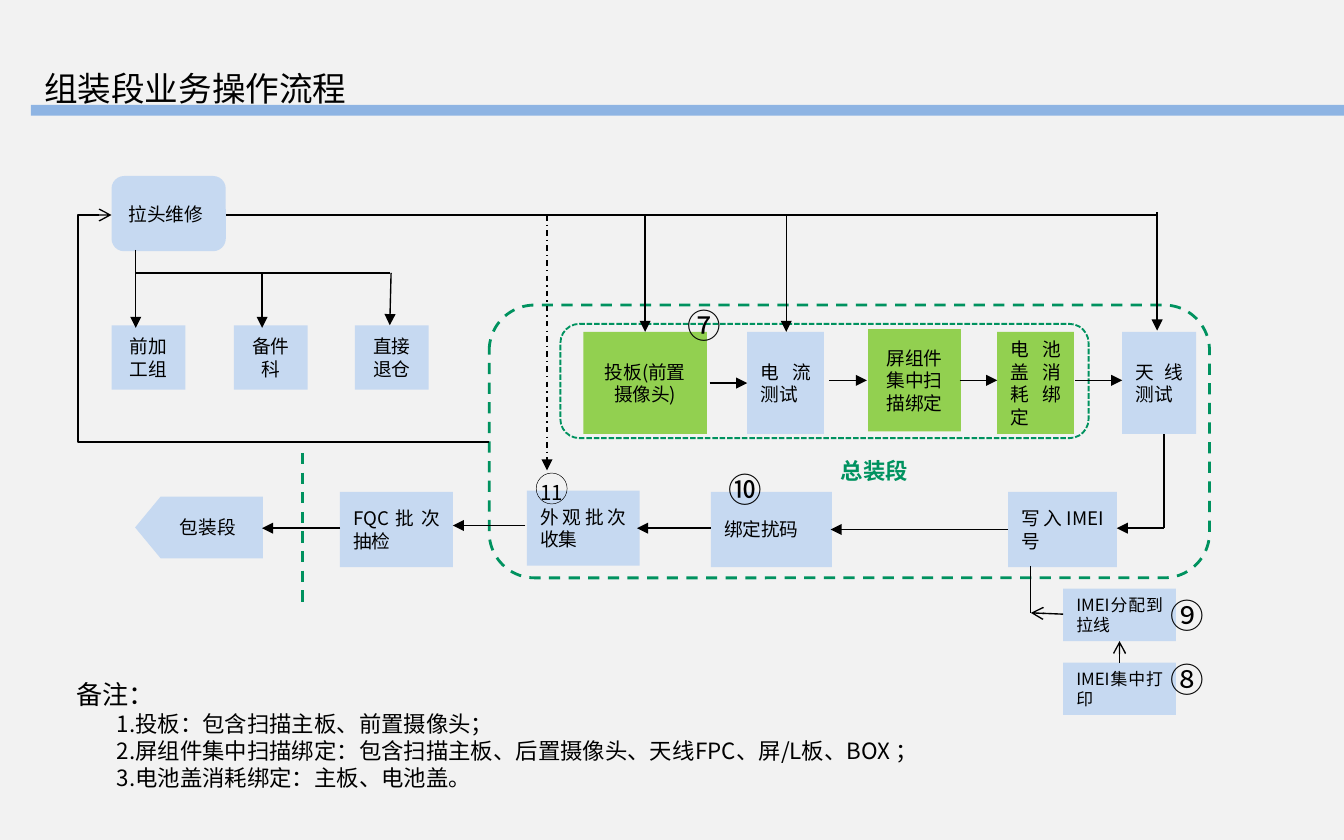
from pptx import Presentation
from pptx.dml.color import RGBColor
from pptx.enum.dml import MSO_LINE
from pptx.enum.shapes import MSO_CONNECTOR, MSO_SHAPE
from pptx.enum.text import MSO_ANCHOR, PP_ALIGN
from pptx.oxml.ns import qn
from pptx.util import Inches, Pt
from lxml.etree import SubElement

COLS, ROWS = 100, 62.5
CELL = Inches(10) / COLS
FONT = "Noto Sans CJK SC"
BLACK, BLUE, LIME, TEAL, BAR = "000000", "C6D9F1", "92D050", "00925F", "8EB4E3"
LEFT, MID, JUST = PP_ALIGN.LEFT, PP_ALIGN.CENTER, PP_ALIGN.JUSTIFY
RECT, ROUND = MSO_SHAPE.RECTANGLE, MSO_SHAPE.ROUNDED_RECTANGLE
DASH, DOTS, MIXED = MSO_LINE.DASH, MSO_LINE.SQUARE_DOT, MSO_LINE.DASH_DOT

REPAIR = ("拉头维修", 8.3, 13.1, 8.5, 5.6)
EXITS = [("前加工组", 8.3), ("备件科", 17.4), ("直接退仓", 26.4)]
TESTS = [
    ("投板(前置摄像头)", 43.4, 24.7, 9.2, LIME, MID),
    ("电流测试", 55.6, 24.7, 5.7, BLUE, JUST),
    ("屏组件集中扫描绑定", 64.6, 24.5, 6.9, LIME, MID),
    ("电池盖消耗绑定", 74.2, 24.7, 5.7, LIME, JUST),
    ("天线测试", 83.5, 24.7, 5.5, BLUE, JUST),
]
STEPS = [
    ("写入IMEI号", 75, 36.6, 8.1),
    ("绑定扰码", 52.9, 36.6, 9),
    ("外观批次收集", 39.2, 36.5, 8.4),
    ("FQC批次抽检", 25.3, 36.6, 8.4),
]
PRINTS = [("IMEI分配到拉线", 43.8), ("IMEI集中打印", 49.3)]
FRAMES = [
    (36.4, 22.7, 53.6, 20.3, 1.5, DASH),
    (41.7, 24.1, 39.3, 8.5, 1, DOTS),
]
MARKS = [("⑦", 50.2, 22.2), ("⑧", 86.1, 48.5), ("⑨", 86.1, 43.8), ("⑩", 53.2, 34.4)]
NOTES = [
    "1.投板：包含扫描主板、前置摄像头；",
    "2.屏组件集中扫描绑定：包含扫描主板、后置摄像头、天线FPC、屏/L板、BOX ；",
    "3.电池盖消耗绑定：主板、电池盖。",
]
PLAIN = [
    (16.8, 16, 86.1, 16), (10.1, 20.3, 29, 20.3),
    (86.6, 32.3, 86.6, 39.3), (76.7, 42.1, 76.7, 45.6),
]
ARROWS = [
    (48, 16, 48, 24.7), (58.5, 16, 58.5, 24.7), (86.1, 15.8, 86.1, 24.6),
    (10.1, 18.6, 10.1, 24.4), (19.5, 20.3, 19.5, 24.4), (29.1, 20.3, 29, 24.2),
    (52.8, 28.5, 55.6, 28.5), (61.7, 28.3, 64.5, 28.3),
    (71.4, 28.3, 74.2, 28.3), (80, 28.3, 83.5, 28.3),
    (86.6, 39.3, 83.1, 39.3), (75, 39.4, 61.8, 39.4), (52.9, 39.3, 47.4, 39.3),
    (39.1, 39.1, 33.7, 39.1), (25.3, 39.3, 19.5, 39.3),
]
OPEN = [(79.1, 45.7, 76.7, 45.6), (83.3, 49.3, 83.3, 47.7)]


def tone(code):
    return RGBColor.from_string(code)


def place(*cells):
    return [round(cell * CELL) for cell in cells]


def write(para, text, size, color=BLACK, font=FONT, bold=False):
    run = para.add_run()
    run.text = text
    run.font.size = Pt(size)
    run.font.name = font
    run.font.bold = bold
    run.font.color.rgb = tone(color)
    SubElement(run._r.get_or_add_rPr(), qn("a:ea"), typeface=FONT)


def shape(kind, area, fill=None, line=None, width=1, dash=None):
    item = slide.shapes.add_shape(kind, *place(*area))
    item.shadow.inherit = False
    if fill:
        item.fill.solid()
        item.fill.fore_color.rgb = tone(fill)
    else:
        item.fill.background()
    if line:
        item.line.color.rgb = tone(line)
        item.line.width = Pt(width)
        item.line.dash_style = dash
    else:
        item.line.fill.background()
    return item


def box(text, area, fill=BLUE, align=JUST, size=10, kind=RECT):
    frame = shape(kind, area, fill).text_frame
    frame.word_wrap = True
    frame.vertical_anchor = MSO_ANCHOR.MIDDLE
    para = frame.paragraphs[0]
    para.alignment = align
    write(para, text, size)


def label(text, area, size, align=LEFT, **look):
    frame = slide.shapes.add_textbox(*place(*area)).text_frame
    frame.word_wrap = True
    para = frame.paragraphs[0]
    para.alignment = align
    write(para, text, size, **look)
    return frame


def link(ends, tail=None, color=BLACK, width=0.75, dash=None, kind=MSO_CONNECTOR.STRAIGHT):
    item = slide.shapes.add_connector(kind, *place(*ends))
    item.line.color.rgb = tone(color)
    item.line.width = Pt(width)
    item.line.dash_style = dash
    if tail:
        SubElement(item.line._get_or_add_ln(), qn("a:tailEnd"), type=tail)
    SubElement(item._element.spPr, qn("a:effectLst"))
    return item


deck = Presentation()
deck.slide_width, deck.slide_height = place(COLS, ROWS)
slide = deck.slides.add_slide(deck.slide_layouts[6])
slide.background.fill.solid()
slide.background.fill.fore_color.rgb = tone("F2F2F2")

shape(RECT, (2.3, 7.8, 97.7, 0.8), BAR)
label("组装段业务操作流程", (2.3, 4.6, 32.8, 4), 18)

box(REPAIR[0], REPAIR[1:], kind=ROUND)
for text, x in EXITS:
    box(text, (x, 24.2, 5.5, 4.8), align=MID)
for text, x, y, wide, fill, align in TESTS:
    box(text, (x, y, wide, 7.6), fill, align)
for text, x, y, wide in STEPS:
    box(text, (x, y, wide, 5.6))
for text, y in PRINTS:
    box(text, (79.1, y, 8.4, 3.9), size=9)
shape(MSO_SHAPE.FLOWCHART_OFFPAGE_CONNECTOR, (12.5, 34.5, 4.6, 9.5), BLUE).rotation = 90
box("包装段", (12.4, 37.9, 6.3, 2.7), align=LEFT)

for x, y, wide, high, width, dash in FRAMES:
    shape(ROUND, (x, y, wide, high), None, TEAL, width, dash)
for ends in PLAIN:
    link(ends)
for ends in ARROWS:
    link(ends, "triangle")
for ends in OPEN:
    link(ends, "arrow")
link((40.7, 16, 40.7, 35), "triangle", dash=MIXED)
link((22.5, 33.7, 22.5, 45.1), color=TEAL, width=1.5, dash=DASH)
loop = link((36.4, 32.9, 8.3, 16), "arrow", kind=MSO_CONNECTOR.ELBOW)
bend = loop._element.spPr.find(qn("a:prstGeom")).find(qn("a:avLst"))
SubElement(bend, qn("a:gd"), name="adj1", fmla="val 108900")

label("总装段", (58.1, 33.5, 13.9, 3), 12, MID, color=TEAL, font="Calibri", bold=True)
for text, x, y in MARKS:
    label(text, (x, y, 3.9, 4), 18)
shape(MSO_SHAPE.OVAL, (39.9, 35.2, 2.3, 2.3), None, BLACK, 0.25)
label("11", (39.2, 35.2, 4.7, 2.9), 11)

notes = label("备注：", (4.7, 50, 69.7, 11.4), 14)
for text in NOTES:
    para = notes.add_paragraph()
    para._p.get_or_add_pPr().set("marL", str(place(3)[0]))
    write(para, text, 12)

deck.save("out.pptx")
